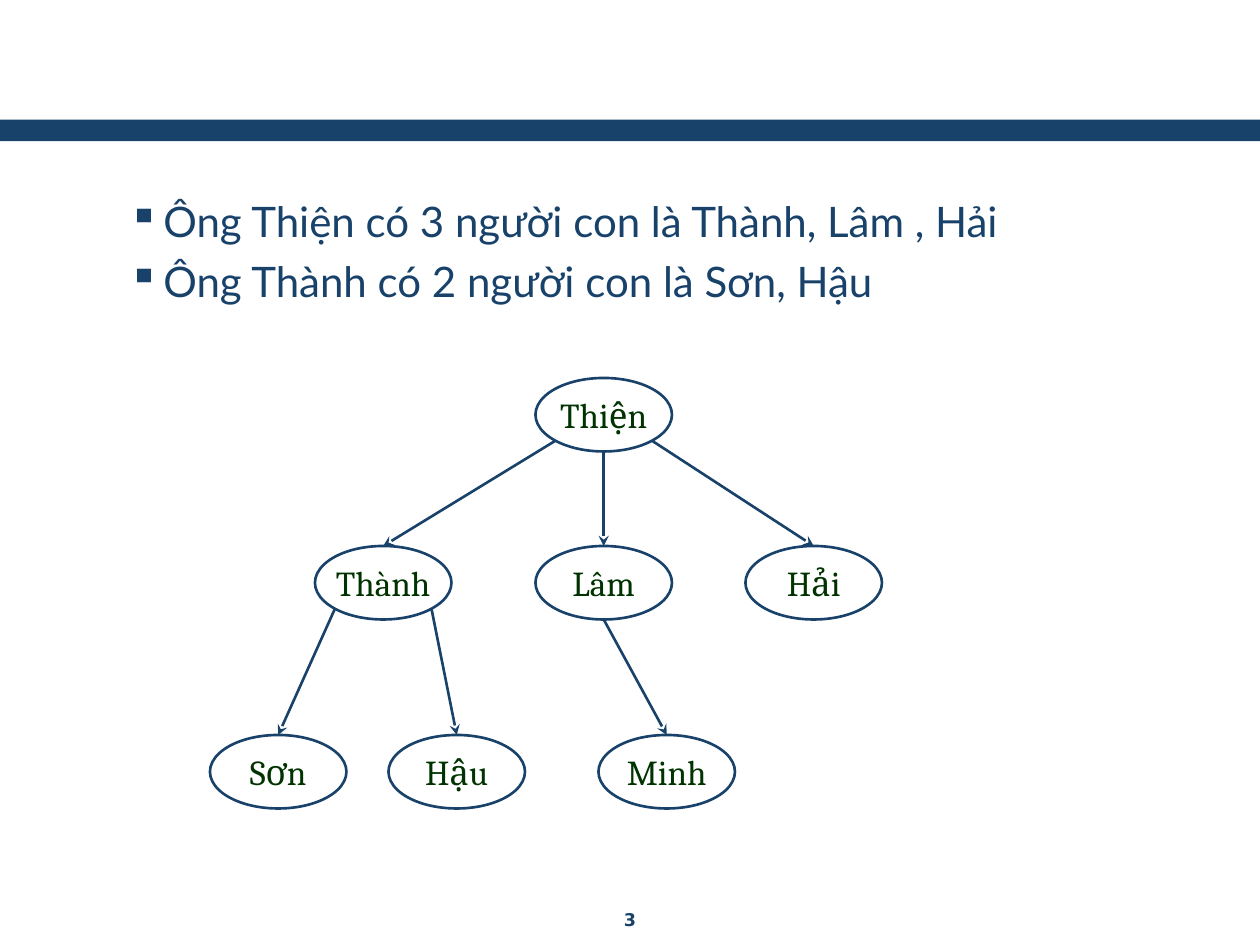
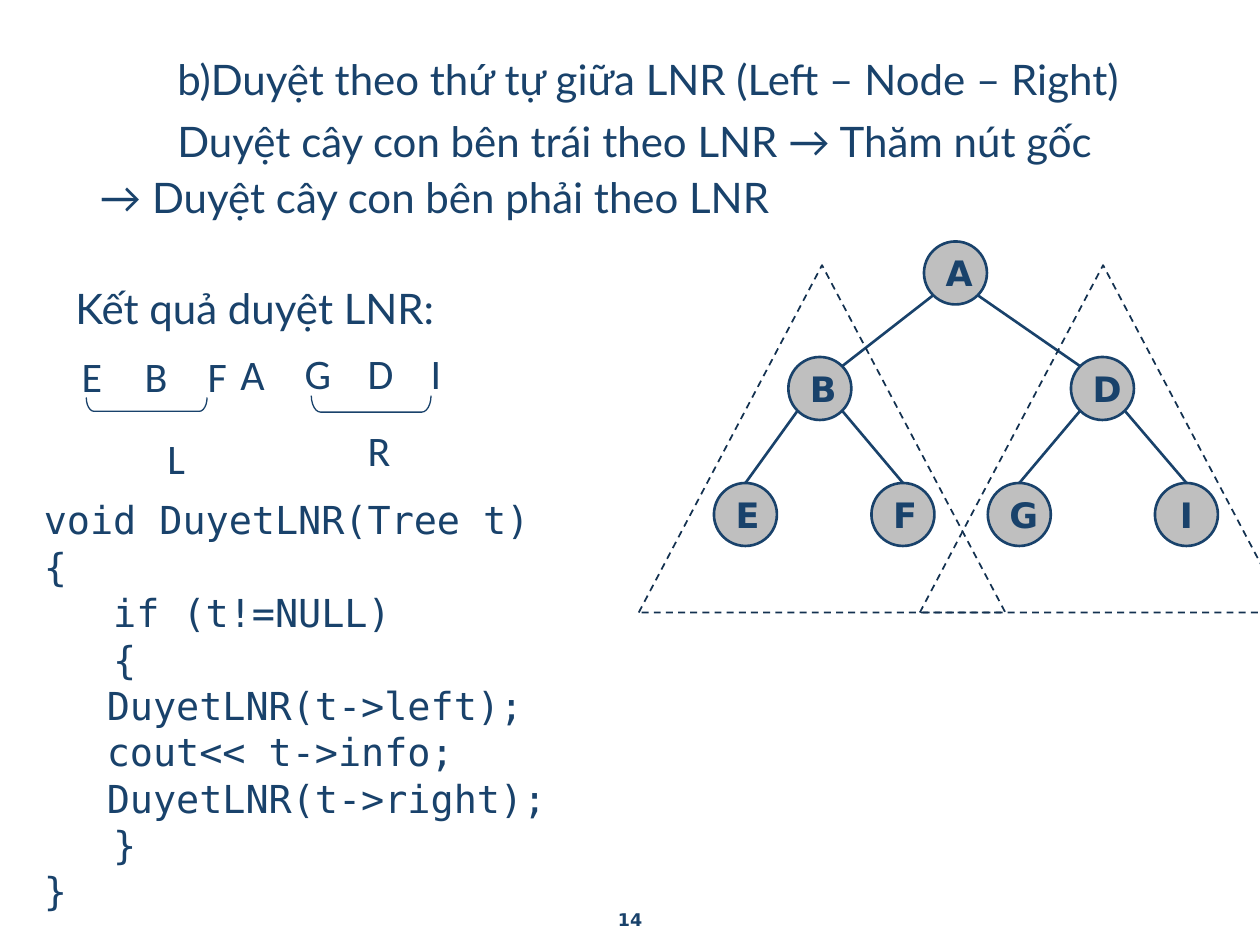
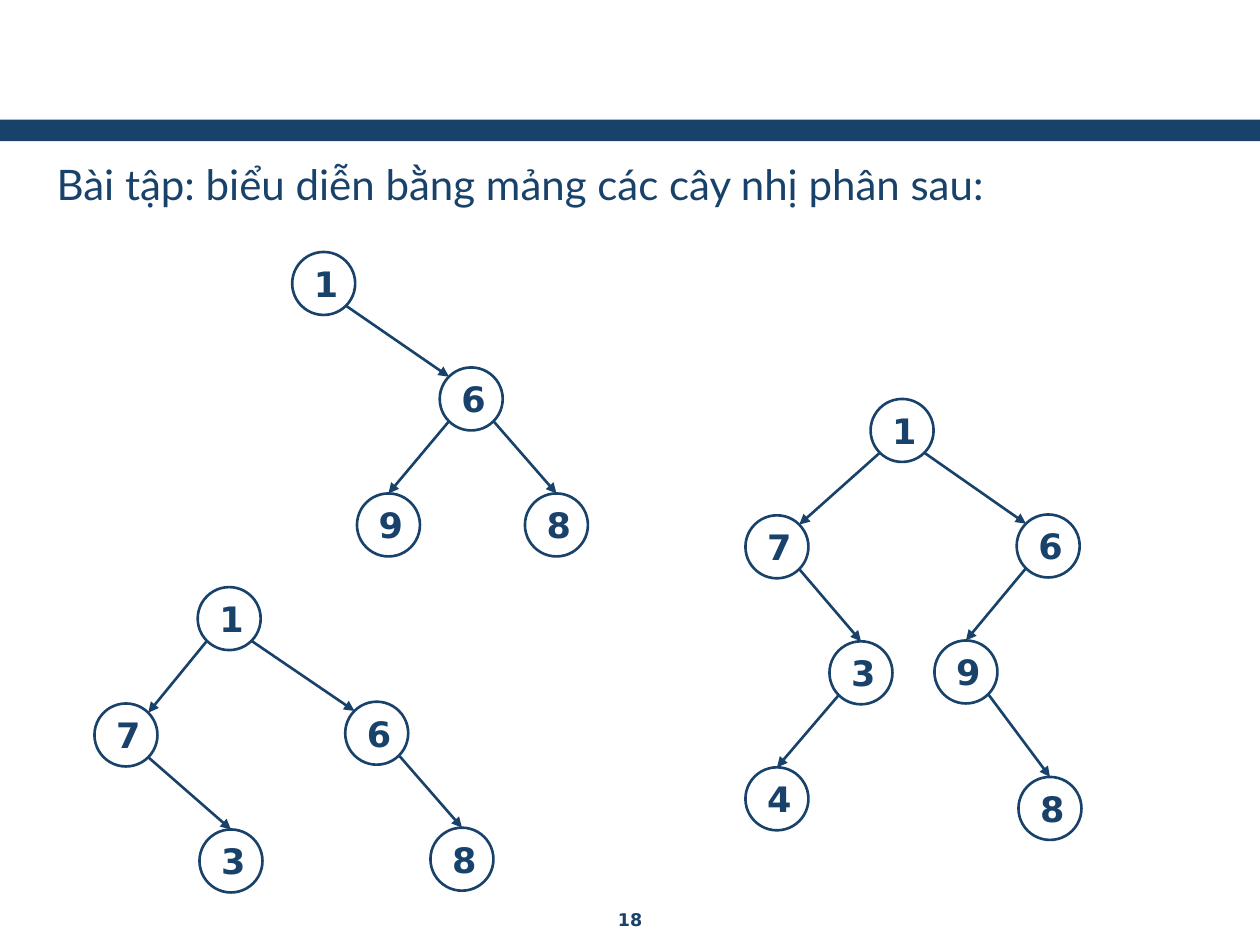
from dataclasses import dataclass, replace
from math import sqrt

from lxml.etree import SubElement
from pptx import Presentation
from pptx.dml.color import RGBColor
from pptx.enum.dml import MSO_LINE
from pptx.enum.shapes import MSO_CONNECTOR, MSO_SHAPE
from pptx.enum.text import MSO_ANCHOR, PP_ALIGN
from pptx.oxml.ns import qn
from pptx.util import Pt


@dataclass(frozen=True)
class Theme:
    navy: str = "19426B"
    deep_navy: str = "133150"
    green: str = "003300"
    grey: str = "BFBFBF"
    white: str = "FFFFFF"
    body_font: str = "Lato"
    label_font: str = "Calibri"
    code_font: str = "DejaVu Sans Mono"
    node_font: str = "DejaVu Sans"
    family_font: str = "Cambria"
    body_size: float = 24
    code_size: float = 22
    node_size: float = 20
    footer_size: float = 10
    edge_width: float = 1.5


THEME = Theme()


@dataclass(frozen=True)
class NodeStyle:
    width: float = 36
    height: float = 36
    fill: str | None = THEME.white
    font: str = THEME.node_font
    color: str = THEME.navy
    bold: bool = True
    inset: float = 7.2
    arrow: str | None = "triangle"
    binary: bool = True


NUMBERED = NodeStyle()
LETTERED = replace(NUMBERED, fill=THEME.grey, arrow=None)
FAMILY = NodeStyle(78, 42, None, THEME.family_font, THEME.green, False, 0, "stealth", False)


def rgb(color):
    return RGBColor.from_string(color)


def add_run(paragraph, text, font, size, color=THEME.navy, bold=False):
    run = paragraph.add_run()
    run.text = text
    run.font.name = font
    run.font.size = Pt(size)
    run.font.bold = bold
    run.font.color.rgb = rgb(color)


def add_outline(slide, preset, box, color=None, width=0.75, fill=None):
    shape = slide.shapes.add_shape(preset, *map(Pt, box))
    shape.shadow.inherit = False
    if fill:
        shape.fill.solid()
        shape.fill.fore_color.rgb = rgb(fill)
    else:
        shape.fill.background()
    if color:
        shape.line.color.rgb = rgb(color)
        shape.line.width = Pt(width)
    else:
        shape.line.fill.background()
    return shape


def add_text(slide, box, lines, font=THEME.body_font, size=THEME.body_size, spacing=1.1,
             before=4, margin=0, indent=0, bullets=None, tabs=(), align=None, bold=False):
    frame = slide.shapes.add_textbox(*map(Pt, box)).text_frame
    frame.word_wrap = True
    for index, line in enumerate(lines):
        paragraph = frame.paragraphs[0] if index == 0 else frame.add_paragraph()
        properties = paragraph._p.get_or_add_pPr()
        properties.set("marL", str(Pt(margin)))
        properties.set("indent", str(Pt(indent)))
        if bullets and index in bullets:
            tag, attributes = bullets[index]
            SubElement(properties, qn(tag), attributes)
        if tabs:
            stops = SubElement(properties, qn("a:tabLst"))
            for position in tabs:
                SubElement(stops, qn("a:tab"), pos=str(Pt(position)), algn="l")
        paragraph.line_spacing = spacing
        paragraph.space_before = Pt(before if index else 0)
        paragraph.alignment = align
        add_run(paragraph, line, font, size, bold=bold)


def add_label(slide, box, text, tabs=()):
    add_text(slide, box, [text], font=THEME.label_font, tabs=tabs)


def add_band(slide):
    add_outline(slide, MSO_SHAPE.RECTANGLE, (0, 68.4, 720, 12.24), fill=THEME.navy)


def add_page_number(slide, number):
    add_text(slide, (276, 516, 168, 19), [number], THEME.node_font, THEME.footer_size,
             spacing=1.0, align=PP_ALIGN.CENTER, bold=True)


def add_node(slide, name, center, style):
    x, y = center
    box = (x - style.width / 2, y - style.height / 2, style.width, style.height)
    node = add_outline(slide, MSO_SHAPE.OVAL, box, THEME.navy, THEME.edge_width, style.fill)
    frame = node.text_frame
    frame.word_wrap = True
    frame.margin_left = frame.margin_right = Pt(style.inset)
    frame.vertical_anchor = MSO_ANCHOR.MIDDLE
    paragraph = frame.paragraphs[0]
    paragraph.alignment = PP_ALIGN.CENTER
    add_run(paragraph, name, style.font, THEME.node_size, style.color, style.bold)


def rim_point(center, side, up, style):
    reach = sqrt(0.5) if side else 1
    return (center[0] + side * reach * style.width / 2,
            center[1] + up * reach * style.height / 2)


def add_edge(slide, start, end, arrow):
    edge = slide.shapes.add_connector(MSO_CONNECTOR.STRAIGHT, *map(Pt, start + end))
    edge.line.color.rgb = rgb(THEME.navy)
    edge.line.width = Pt(THEME.edge_width)
    if arrow:
        SubElement(edge.line._get_or_add_ln(), qn("a:tailEnd"), type=arrow)
    SubElement(edge._element.spPr, qn("a:effectLst"))


def add_tree(slide, centers, children, style):
    root = next(iter(centers))
    for parent, offspring in children.items():
        for child in offspring:
            start, end = centers[parent], centers[child]
            side = (end[0] > start[0]) - (end[0] < start[0])
            leave = side if style.binary or len(offspring) > 1 else 0
            arrive = -side if style.binary and parent == root else 0
            add_edge(slide, rim_point(start, leave, 1, style),
                     rim_point(end, arrive, -1, style), style.arrow)
    for name, center in centers.items():
        add_node(slide, name, center, style)


def add_brace(slide, box):
    brace = add_outline(slide, MSO_SHAPE.LEFT_BRACKET, box, THEME.navy)
    brace.adjustments[0] = 0.565
    brace.rotation = 270


def add_subtree_frame(slide, left):
    frame = add_outline(slide, MSO_SHAPE.ISOSCELES_TRIANGLE, (left, 151.5, 209.5, 198.5),
                        THEME.deep_navy, 1)
    frame.line.dash_style = MSO_LINE.DASH


def build_family(slide):
    add_band(slide)
    square = ("a:buChar", {"char": "▪"})
    add_text(slide, (66.24, 102.24, 600, 77),
             ["Ông Thiện có 3 người con là Thành, Lâm , Hải",
              "Ông Thành có 2 người con là Sơn, Hậu"],
             spacing=1.2, before=0, margin=20, indent=-20, bullets={0: square, 1: square})
    centers = {"Thiện": (345, 237),
               "Thành": (219, 333), "Lâm": (345, 333), "Hải": (465, 333),
               "Sơn": (159, 441), "Hậu": (261, 441), "Minh": (381, 441)}
    children = {"Thiện": ["Thành", "Lâm", "Hải"], "Thành": ["Sơn", "Hậu"], "Lâm": ["Minh"]}
    add_tree(slide, centers, children, FAMILY)
    add_page_number(slide, "3")


def build_traversal(slide):
    add_text(slide, (18, 24, 636, 102),
             ["Duyệt theo thứ tự giữa LNR (Left – Node – Right)",
              "Duyệt cây con bên trái theo LNR → Thăm nút gốc "
              "→ Duyệt cây con bên phải theo LNR"],
             margin=31.7, indent=44.6,
             bullets={0: ("a:buAutoNum", {"type": "alphaLcParenR", "startAt": "2"})})
    add_text(slide, (18, 280, 390, 240),
             ["void DuyetLNR(Tree t)",
              "{",
              "   if (t!=NULL)",
              "   {",
              "\tDuyetLNR(t->left);",
              "\tcout<< t->info;",
              "\tDuyetLNR(t->right);",
              "   }",
              "}"],
             THEME.code_font, THEME.code_size, spacing=Pt(26.5), before=0, tabs=[72])
    centers = {"A": (546, 156), "B": (468.5, 222), "D": (630, 222),
               "E": (426, 294), "F": (516, 294), "G": (582.5, 294), "I": (678, 294)}
    add_tree(slide, centers, {"A": "BD", "B": "EF", "D": "GI"}, LETTERED)
    for left in (365, 525.6):
        add_subtree_frame(slide, left)

    add_text(slide, (36, 154.8, 312, 40), ["Kết quả duyệt LNR:"])
    add_label(slide, (39.6, 193.7, 121, 37.5), "E\tB\tF", [28, 57.3])
    add_label(slide, (130.3, 193, 36.7, 37.5), "A")
    add_label(slide, (167, 192.3, 120, 37.5), "G\tD\tI", [31.4, 62.4])
    add_brace(slide, (79.9, 196.6, 7.9, 69))
    add_brace(slide, (207.4, 196.6, 9.4, 68.4))
    add_label(slide, (88.6, 240.5, 36.7, 38), "L")
    add_label(slide, (203, 236.2, 36.7, 38), "R")
    add_page_number(slide, "14")


def build_exercise(slide):
    add_band(slide)
    add_text(slide, (25.2, 84.24, 594, 48),
             ["Bài tập: biểu diễn bằng mảng các cây nhị phân sau:"])
    trees = [
        ({"1": (185, 162), "6": (269.3, 228), "9": (222, 300), "8": (318, 300)},
         {"1": "6", "6": "98"}),
        ({"1": (131, 353.5), "7": (72, 420), "6": (215.3, 419),
          "3": (132, 492), "8": (264, 491)},
         {"1": "76", "7": "3", "6": "8"}),
        ({"1": (515.5, 246), "7": (444, 312.5), "6": (599, 312), "3": (492, 384.5),
          "9": (552, 384), "4": (444, 456.5), "8": (600, 462)},
         {"1": "76", "7": "3", "3": "4", "6": "9", "9": "8"}),
    ]
    for centers, children in trees:
        add_tree(slide, centers, children, NUMBERED)
    add_page_number(slide, "18")


def main():
    deck = Presentation()
    deck.slide_width, deck.slide_height = Pt(720), Pt(540)
    blank = deck.slide_layouts[6]
    for build in (build_family, build_traversal, build_exercise):
        build(deck.slides.add_slide(blank))
    deck.save("out.pptx")


if __name__ == "__main__":
    main()
